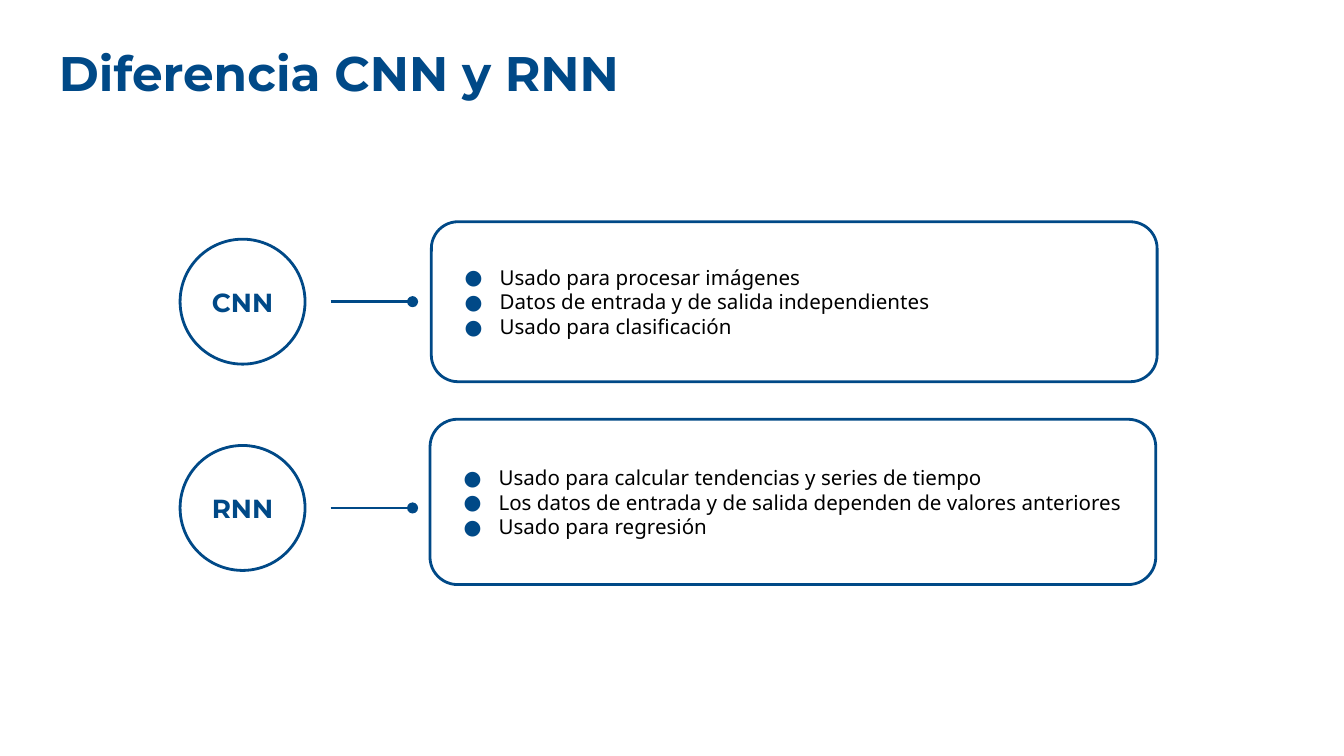
from dataclasses import dataclass

from lxml import etree
from pptx import Presentation
from pptx import util as u
from pptx.dml.color import RGBColor
from pptx.enum import shapes, text
from pptx.oxml import ns


@dataclass(frozen=True)
class Theme:
    blue: RGBColor = RGBColor(0x00, 0x49, 0x87)
    black: RGBColor = RGBColor(0, 0, 0)
    head: str = "Montserrat"
    body: str = "Noto Sans"
    big: int = 26
    mid: int = 14
    small: int = 11
    stroke: float = 1.5


THEME = Theme()
CELL = u.Inches(0.1)  # the slide is a grid of 100 columns by 56.25 rows

# Label, centre row, then left, centre row and height of the card, and its points
ROWS = [
    ("CNN", 22.45, 32.1, 22.45, 11.9, [
        "Usado para procesar imágenes",
        "Datos de entrada y de salida independientes",
        "Usado para clasificación",
    ]),
    ("RNN", 37.8, 32, 37.35, 12.3, [
        "Usado para calcular tendencias y series de tiempo",
        "Los datos de entrada y de salida dependen de valores anteriores",
        "Usado para regresión",
    ]),
]


def grid(*cells):
    return [round(cell * CELL) for cell in cells]


def add(parent, tag, **attrs):
    return etree.SubElement(parent, ns.qn(tag), attrs)


def style(font, name, size, color, bold=False):
    font.name, font.size, font.bold = name, u.Pt(size), bold
    font.color.rgb = color


def inset(frame, cells):
    gap, = grid(cells)
    frame.margin_left = frame.margin_right = gap
    frame.margin_top = frame.margin_bottom = gap
    frame.word_wrap = True


def stroke(line):
    line.color.rgb = THEME.blue
    line.width = u.Pt(THEME.stroke)


def title(slide, words):
    box = slide.shapes.add_textbox(*grid(3.4, 2.2, 61.4, 6.3))
    inset(box.text_frame, 1)
    line = box.text_frame.paragraphs[0]
    line.text = words
    style(line.runs[0].font, THEME.head, THEME.big, THEME.blue, True)


def outline(slide, kind, left, mid, width, height):
    """Add an unfilled shape centred on the row mid."""
    shape = slide.shapes.add_shape(
        kind, *grid(left, mid - height / 2, width, height))
    shape.shadow.inherit = False
    shape.fill.background()
    stroke(shape.line)
    inset(shape.text_frame, 0.7)
    shape.text_frame.vertical_anchor = text.MSO_ANCHOR.MIDDLE
    return shape


def bullet(line):
    props = line._p.get_or_add_pPr()
    left, hang = grid(3.8, -2.6)
    props.set("marL", str(left))
    props.set("indent", str(hang))
    add(add(props, "a:buClr"), "a:srgbClr", val=str(THEME.blue))
    add(props, "a:buFont", typeface=THEME.body)
    add(props, "a:buChar", char="●")


def card(slide, left, mid, height, points):
    shape = outline(slide, shapes.MSO_SHAPE.ROUNDED_RECTANGLE,
                    left, mid, 54, height)
    frame = shape.text_frame
    frame.text = "\n".join(points)
    for line in frame.paragraphs:
        line.alignment = text.PP_ALIGN.LEFT
        bullet(line)
        style(line.runs[0].font, THEME.body, THEME.small, THEME.black)


def link(slide, mid):
    line = slide.shapes.add_connector(
        shapes.MSO_CONNECTOR.ELBOW, *grid(24.6, mid, 30.7, mid))
    stroke(line.line)
    add(line.line._get_or_add_ln(), "a:tailEnd", type="oval")
    add(line._element.spPr, "a:effectLst")


def badge(slide, mid, label):
    shape = outline(slide, shapes.MSO_SHAPE.OVAL, 13.4, mid, 9.3, 9.3)
    line = shape.text_frame.paragraphs[0]
    line.text = label
    line.alignment = text.PP_ALIGN.CENTER
    style(line.runs[0].font, THEME.head, THEME.mid, THEME.blue, True)


def main():
    deck = Presentation()
    deck.slide_width, deck.slide_height = grid(100, 56.25)
    slide = deck.slides.add_slide(deck.slide_layouts[6])

    title(slide, "Diferencia CNN y RNN")

    # One row per network: badge, link, card
    for label, mid, left, centre, height, points in ROWS:
        card(slide, left, centre, height, points)
        link(slide, mid)
        badge(slide, mid, label)

    deck.save("out.pptx")


if __name__ == "__main__":
    main()
